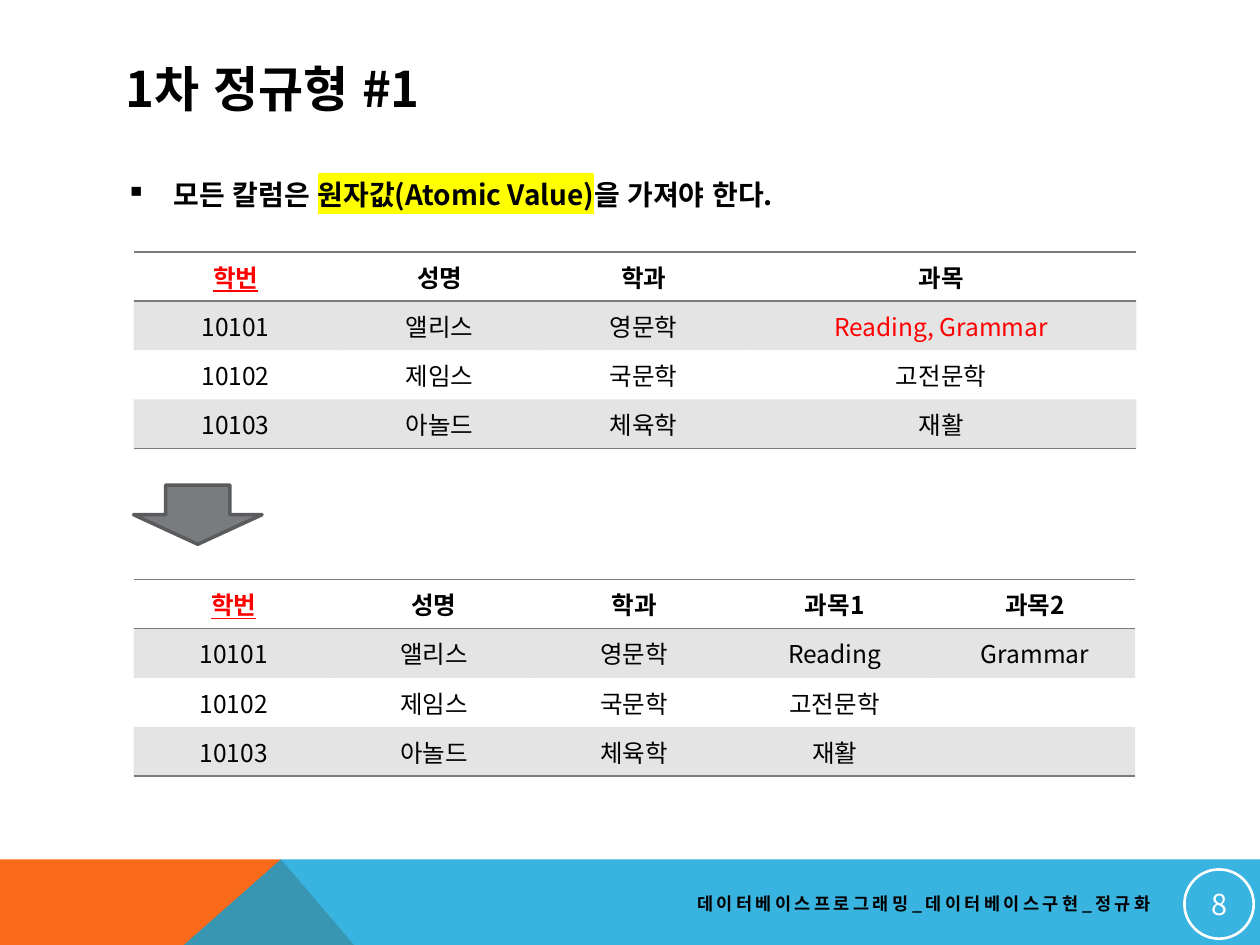
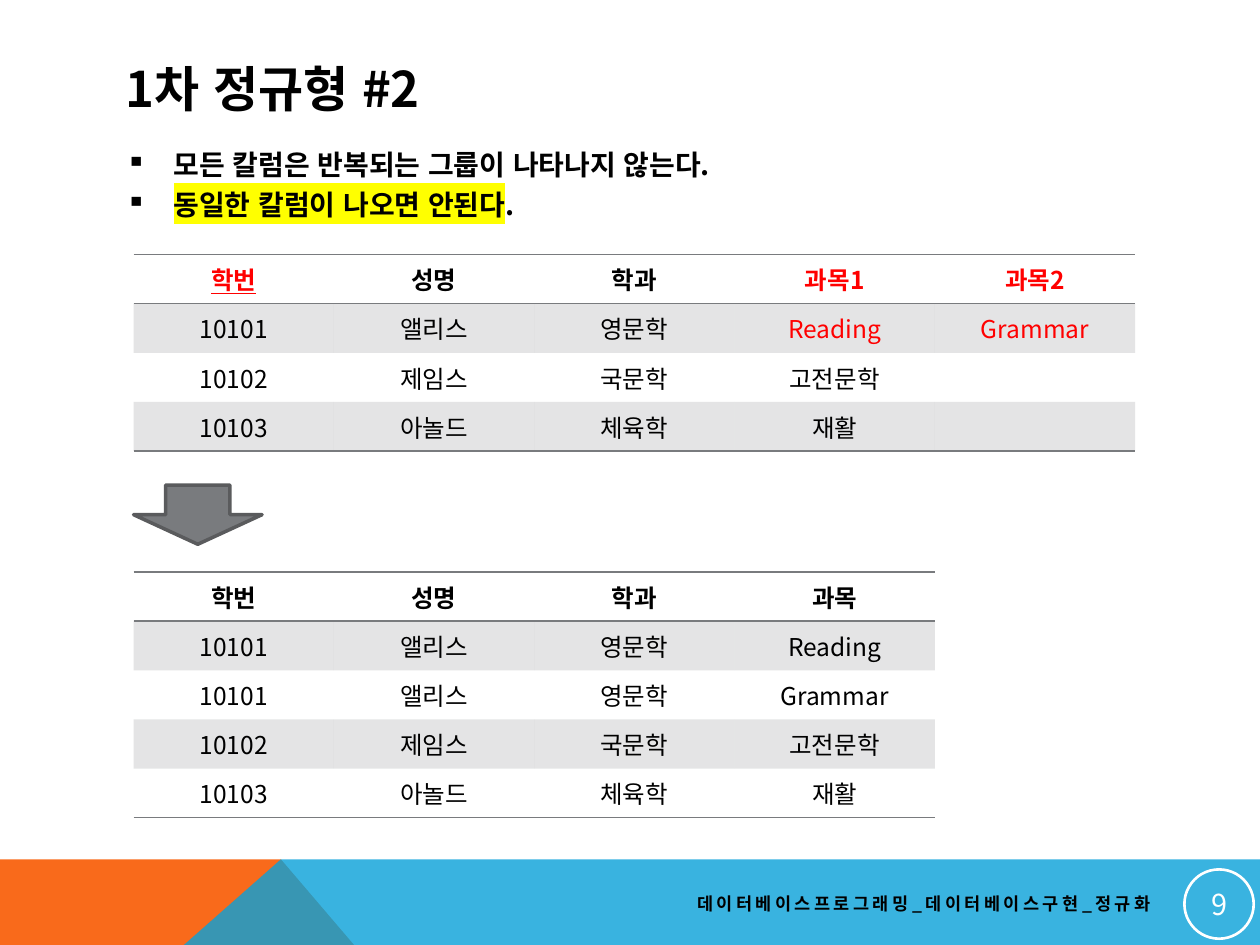
from lxml import etree
from pptx import Presentation
from pptx.dml.color import RGBColor
from pptx.enum.lang import MSO_LANGUAGE_ID
from pptx.enum.shapes import MSO_SHAPE
from pptx.enum.text import MSO_ANCHOR, PP_ALIGN
from pptx.oxml.ns import qn
from pptx.util import Inches, Pt

KOREAN = MSO_LANGUAGE_ID.KOREAN
OVAL, ARROW = MSO_SHAPE.OVAL, MSO_SHAPE.DOWN_ARROW
MIDDLE, TOP = MSO_ANCHOR.MIDDLE, MSO_ANCHOR.TOP
LEFT, CENTER, RIGHT = PP_ALIGN.LEFT, PP_ALIGN.CENTER, PP_ALIGN.RIGHT

FONT = "Noto Sans CJK KR"
BLACK = RGBColor(0x00, 0x00, 0x00)
WHITE = RGBColor(0xFF, 0xFF, 0xFF)
RED = RGBColor(0xFF, 0x00, 0x00)
YELLOW = RGBColor(0xFF, 0xFF, 0x00)
ORANGE = RGBColor(0xF9, 0x6A, 0x1B)
BLUE = RGBColor(0x08, 0xA1, 0xD9)
GRAY = RGBColor(0x79, 0x7B, 0x7E)
DARK = RGBColor(0x5A, 0x5B, 0x5D)

WIDTH, HEIGHT, BAND = 10, 7.5, 6.82
EDGE, ROW, COL = 1.06, 0.39, 1.59
NO_STYLE = "{2D5ABB26-0587-4C30-8999-92F81FD0307C}"
FOOTER = "데이터베이스프로그래밍_데이터베이스구현_정규화"

HEAD = ["학번", "성명", "학과"]
ALICE = ["10101", "앨리스", "영문학"]
JAMES = ["10102", "제임스", "국문학", "고전문학"]
ARNOLD = ["10103", "아놀드", "체육학", "재활"]
SPLIT = [HEAD + ["과목1", "과목2"], ALICE + ["Reading", "Grammar"],
         JAMES + [""], ARNOLD + [""]]


def add(parent, tag, **attrs):
    """Append an XML child and return it."""
    child = etree.SubElement(parent, qn(tag))
    for name, value in attrs.items():
        child.set(name, str(value))
    return child


def style(para, size, color=BLACK, bold=False, align=LEFT):
    """Set the font of a paragraph and return its default run properties."""
    para.alignment = align
    font = para.font
    font.size, font.bold, font.name = Pt(size), bold, FONT
    font.color.rgb = color
    font.language_id = KOREAN
    props = para._p.pPr.find(qn("a:defRPr"))
    add(props, "a:ea", typeface=FONT)
    return props


def fade(fill, color, percent):
    """Fill with a partly transparent colour."""
    fill.solid()
    fill.fore_color.rgb = color
    tone = next(fill._xPr.iter(qn("a:srgbClr")))
    add(tone, "a:alpha", val=percent * 1000)


def text_box(slide, left, top, width, height, anchor):
    """Add a wrapping text box and return its frame."""
    box = slide.shapes.add_textbox(
        Inches(left), Inches(top), Inches(width), Inches(height))
    frame = box.text_frame
    frame.word_wrap = True
    frame.vertical_anchor = anchor
    return frame


def polygon(slide, points):
    """Add a closed outline without line or shadow."""
    first, *rest = [(Inches(x), Inches(y)) for x, y in points]
    path = slide.shapes.build_freeform(*first)
    path.add_line_segments(rest, close=True)
    shape = path.convert_to_shape()
    shape.shadow.inherit = False
    shape.line.fill.background()
    return shape


def frame_slide(deck, title, number):
    """Add a slide with title, colour band, footer and page number."""
    slide = deck.slides.add_slide(deck.slide_layouts[6])
    left = polygon(slide, [(0, BAND), (2.23, BAND), (2.81, HEIGHT), (0, HEIGHT)])
    left.fill.solid()
    left.fill.fore_color.rgb = ORANGE
    right = polygon(slide, [(1.46, HEIGHT), (2.23, BAND), (WIDTH, BAND), (WIDTH, HEIGHT)])
    fade(right.fill, BLUE, 80)

    para = text_box(slide, 0.9, 0.4, 8.22, 0.6, MIDDLE).paragraphs[0]
    para.text = title
    style(para, 28, bold=True)

    para = text_box(slide, 4.06, 7.02, 5.17, 0.3, MIDDLE).paragraphs[0]
    para.text = FOOTER
    style(para, 10, bold=True, align=RIGHT).set("spc", "200")

    ring = slide.shapes.add_shape(
        OVAL, Inches(9.4), Inches(6.9), Inches(0.55), Inches(0.55))
    ring.shadow.inherit = False
    ring.fill.background()
    ring.line.color.rgb, ring.line.width = WHITE, Pt(1.5)
    frame = ring.text_frame
    frame.vertical_anchor = MIDDLE
    frame.margin_left = frame.margin_right = Inches(0.01)
    frame.margin_top = frame.margin_bottom = Inches(0.01)
    para = frame.paragraphs[0]
    para.text = str(number)
    style(para, 16.5, WHITE, align=CENTER)
    return slide


def bullets(slide, top, items):
    """Add bulleted lines, each a list of (text, marked) runs."""
    frame = text_box(slide, 0.9, top, 8.22, 0.5, TOP)
    for i, runs in enumerate(items):
        para = frame.add_paragraph() if i else frame.paragraphs[0]
        para.space_before, para.line_spacing = Pt(6), 0.9
        props = style(para, 16, bold=True)
        indent = Inches(0.38)
        para._p.pPr.set("marL", str(indent))
        para._p.pPr.set("indent", str(-indent))
        props.addprevious(add(para._p.pPr, "a:buChar", char="▪"))
        for words, marked in runs:
            run = para.add_run()
            run.text = words
            if marked:
                mark = add(run._r.get_or_add_rPr(), "a:highlight")
                add(mark, "a:srgbClr", val=YELLOW)


def rule(cell, tag):
    """Draw a gray line on one side of a cell."""
    line = etree.Element(qn(tag), w=str(Pt(1)))
    add(add(line, "a:solidFill"), "a:srgbClr", val=GRAY)
    cell._tc.get_or_add_tcPr().insert(0, line)


def grid(slide, top, widths, rows, red=(), key=True):
    """Add a banded table; red holds (row, column) pairs to stress."""
    table = slide.shapes.add_table(
        len(rows), len(widths), Inches(EDGE), Inches(top),
        Inches(sum(widths)), Inches(ROW * len(rows))).table
    table._tbl.tblPr.find(qn("a:tableStyleId")).text = NO_STYLE
    for column, width in zip(table.columns, widths):
        column.width = Inches(width)
    for r, row in enumerate(rows):
        table.rows[r].height = Inches(ROW)
        for c, words in enumerate(row):
            cell = table.cell(r, c)
            cell.vertical_anchor = MIDDLE
            para = cell.text_frame.paragraphs[0]
            if words:
                para.text = words
            main = key and (r, c) == (0, 0)
            color = RED if main or (r, c) in red else BLACK
            style(para, 14, color, bold=r == 0, align=CENTER)
            if main:
                para.font.underline = True
            if not words:
                add(para._p, "a:endParaRPr", sz=1400)
            if r % 2:
                fade(cell.fill, GRAY, 20)
            else:
                cell.fill.background()
            if r in (0, len(rows) - 1):
                rule(cell, "a:lnB")
            if r == 0:
                rule(cell, "a:lnT")


def arrow(slide):
    """Add the arrow between the two tables."""
    shape = slide.shapes.add_shape(
        ARROW, Inches(EDGE), Inches(3.85), Inches(1.02), Inches(0.47))
    shape.shadow.inherit = False
    shape.fill.solid()
    shape.fill.fore_color.rgb = GRAY
    shape.line.color.rgb, shape.line.width = DARK, Pt(2)


def main():
    """Build both slides and save them."""
    deck = Presentation()
    deck.slide_width, deck.slide_height = Inches(WIDTH), Inches(HEIGHT)

    slide = frame_slide(deck, "1차 정규형 #1", 8)
    bullets(slide, 1.39, [[("모든 칼럼은 ", False), ("원자값(Atomic Value)", True),
                           ("을 가져야 한다.", False)]])
    grid(slide, 2, [1.62] * 3 + [3.1],
         [HEAD + ["과목"], ALICE + ["Reading, Grammar"], JAMES, ARNOLD],
         red=[(1, 3)])
    arrow(slide)
    grid(slide, 4.6, [COL] * 5, SPLIT)

    slide = frame_slide(deck, "1차 정규형 #2", 9)
    bullets(slide, 1.15, [[("모든 칼럼은 반복되는 그룹이 나타나지 않는다.", False)],
                          [("동일한 칼럼이 나오면 안된다", True), (".", False)]])
    grid(slide, 2.02, [COL] * 5, SPLIT, red=[(0, 3), (0, 4), (1, 3), (1, 4)])
    arrow(slide)
    grid(slide, 4.54, [COL] * 4,
         [HEAD + ["과목"], ALICE + ["Reading"], ALICE + ["Grammar"], JAMES, ARNOLD],
         key=False)

    deck.save("out.pptx")


main()
